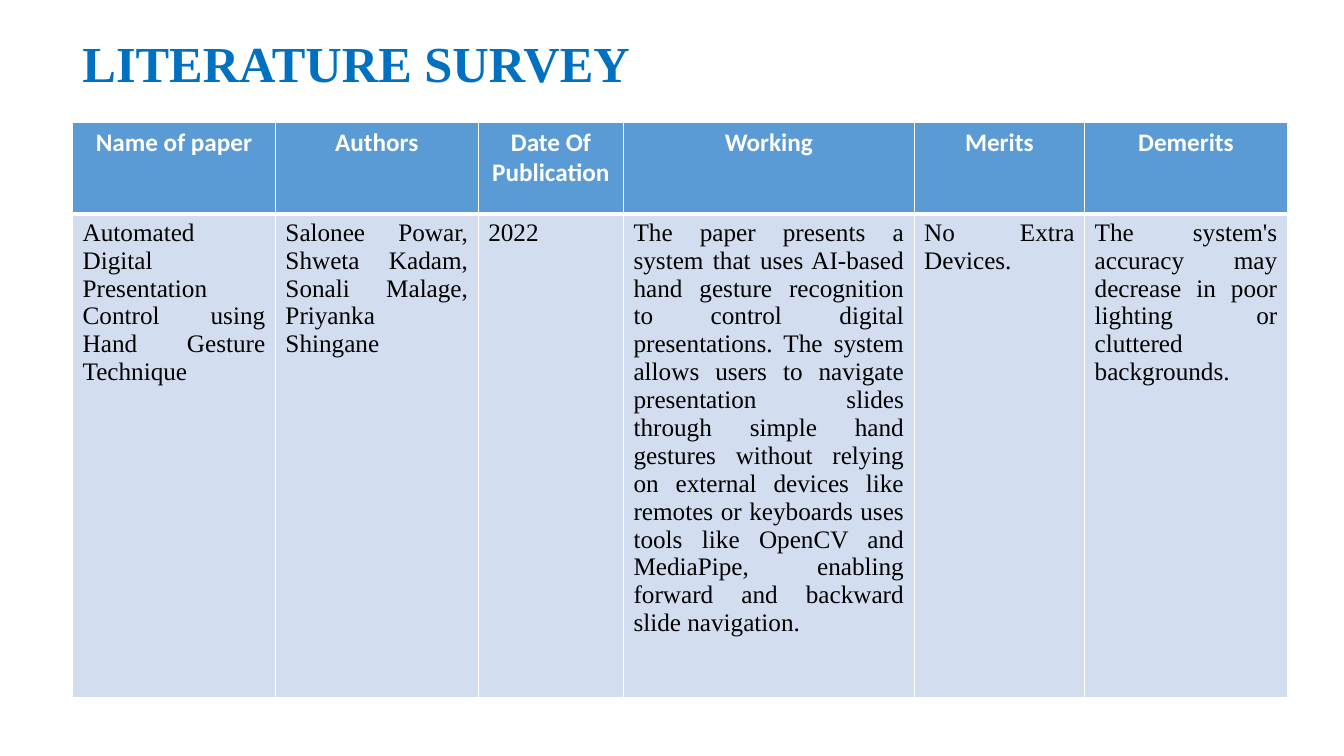
import pptx
import pptx.util
import pptx.dml.color
import pptx.enum.text
import pptx.oxml
import pptx.oxml.ns

COLOURS = {"title": "0070C0", "header": "5B9BD5", "body": "D2DEEF", "white": "FFFFFF", "black": "000000"}
SERIF = "Times New Roman"
ALIGN = pptx.enum.text.PP_ALIGN
COLUMNS = [
    (2.01, "Name of paper", "Automated Digital Presentation Control using Hand Gesture Technique"),
    (2.01, "Authors", "Salonee Powar, Shweta Kadam, Sonali Malage, Priyanka Shingane"),
    (1.44, "Date Of Publication", "2022"),
    (2.88, "Working",
     "The paper presents a system that uses AI-based hand gesture recognition to control digital "
     "presentations. The system allows users to navigate presentation slides through simple hand "
     "gestures without relying on external devices like remotes or keyboards uses tools like OpenCV "
     "and MediaPipe, enabling forward and backward slide navigation."),
    (1.69, "Merits", "No Extra Devices."),
    (2.01, "Demerits", "The system's accuracy may decrease in poor lighting or cluttered backgrounds."),
]
ROW_HEIGHTS = (0.91, 4.8)


def colour(name):
    """Return the named colour as an RGB value."""
    return pptx.dml.color.RGBColor.from_string(COLOURS[name])


def add_run(paragraph, text, size, font, colour_name, bold):
    """Add one styled run to a paragraph."""
    run = paragraph.add_run()
    run.text = text
    run.font.size = pptx.util.Pt(size)
    run.font.name = font
    run.font.bold = bold
    run.font.color.rgb = colour(colour_name)


def add_title(slide, left, top, width, height):
    """Place the slide title in the given box."""
    frame = slide.shapes.add_textbox(*map(pptx.util.Inches, (left, top, width, height))).text_frame
    frame.word_wrap = True
    frame.vertical_anchor = pptx.enum.text.MSO_ANCHOR.MIDDLE
    frame.paragraphs[0].line_spacing = 0.9
    add_run(frame.paragraphs[0], "LITERATURE SURVEY", 36, SERIF, "title", True)


def set_borders(cell, widths):
    """Draw white borders with the given widths in points by side."""
    properties = cell._tc.get_or_add_tcPr()
    for position, (side, width) in enumerate(widths.items()):
        properties.insert(position, pptx.oxml.parse_xml(
            f'<a:ln{side} {pptx.oxml.ns.nsdecls("a")} w="{pptx.util.Pt(width)}">'
            f'<a:solidFill><a:srgbClr val="{COLOURS["white"]}"/></a:solidFill></a:ln{side}>'))


def fill_cell(cell, text, is_header):
    """Write and style one header or body cell."""
    cell.fill.solid()
    cell.fill.fore_color.rgb = colour("header" if is_header else "body")
    paragraph = cell.text_frame.paragraphs[0]
    paragraph.alignment = ALIGN.CENTER if is_header else ALIGN.JUSTIFY
    font, text_colour = ("Calibri", "white") if is_header else (SERIF, "black")
    add_run(paragraph, text, 18, font, text_colour, is_header)
    rule = 3
    set_borders(cell, {"L": 1, "R": 1, "T": 1 if is_header else rule, "B": rule if is_header else 1})


def add_survey_table(slide, left, top, width, height):
    """Place the survey table, sharing the box among its columns and rows."""
    box = map(pptx.util.Inches, (left, top, width, height))
    table = slide.shapes.add_table(len(ROW_HEIGHTS), len(COLUMNS), *box).table
    table.horz_banding = False
    total_width = sum(column[0] for column in COLUMNS)
    for row, share in zip(table.rows, ROW_HEIGHTS):
        row.height = pptx.util.Inches(height * share / sum(ROW_HEIGHTS))
    for index, (share, *texts) in enumerate(COLUMNS):
        table.columns[index].width = pptx.util.Inches(width * share / total_width)
        for row_index, text in enumerate(texts):
            fill_cell(table.cell(row_index, index), text, row_index == 0)


def main():
    """Build and save the literature survey slide."""
    presentation = pptx.Presentation()
    presentation.slide_width = pptx.util.Inches(13.33)
    presentation.slide_height = pptx.util.Inches(7.5)
    slide = presentation.slides.add_slide(presentation.slide_layouts[6])
    add_title(slide, 0.72, -0.07, 11.5, 1.45)
    add_survey_table(slide, 0.72, 1.21, 12.05, 5.71)
    presentation.save("out.pptx")


if __name__ == "__main__":
    main()
